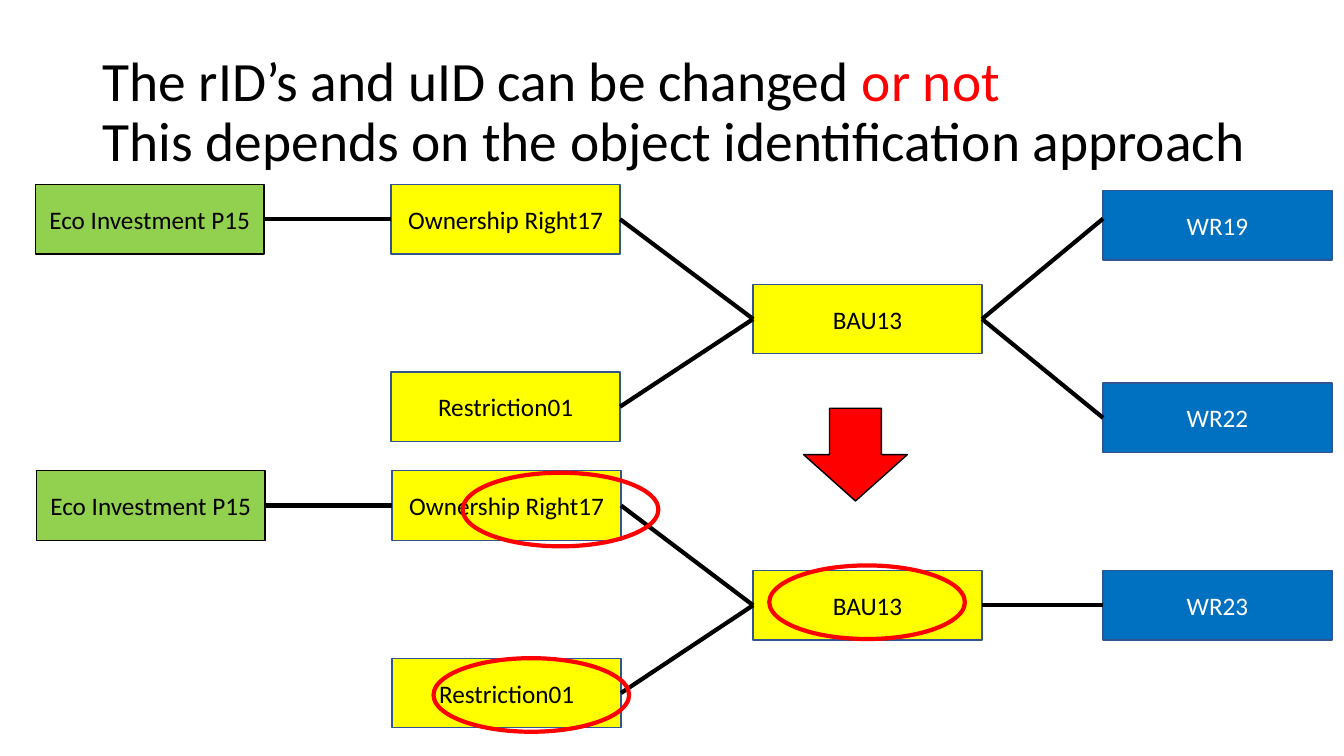
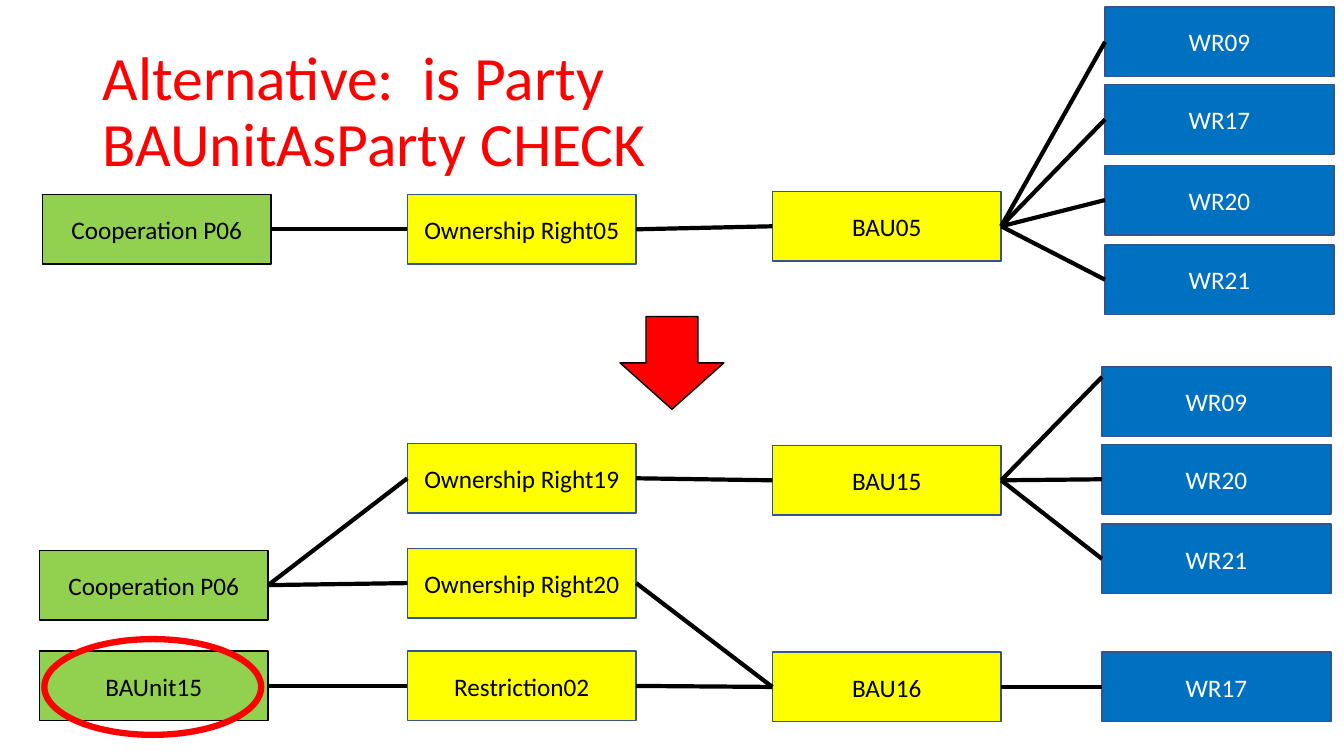
from lxml import etree
from pptx import Presentation, util as u
from pptx.dml.color import RGBColor
from pptx.enum import shapes, text
from pptx.oxml.ns import qn

HUES = {"ink": "000000", "white": "FFFFFF", "red": "FF0000", "green": "92D050",
        "yellow": "FFFF00", "blue": "0070C0", "edge": "325491"}
HUES = {name: RGBColor.from_string(code) for name, code in HUES.items()}
WIDE, HIGH = 2.27, 0.69
KINDS = [("green", "ink", "ink"), ("yellow", "edge", "ink"),
         ("yellow", "edge", "ink"), ("blue", "edge", "white")]
FRAME = {"word_wrap": True, "vertical_anchor": text.MSO_ANCHOR.MIDDLE}
FORMS = shapes.MSO_SHAPE

CHANGE = [("Eco Investment P15", 0, 1.83), ("Ownership Right17", 1, 1.83),
          ("Restriction01", 1, 3.69), ("BAU13", 2, 2.82)]
JOINS = [("Eco Investment P15", "Ownership Right17"),
         ("Ownership Right17", "BAU13"), ("Restriction01", "BAU13")]
DROP = 2.84

PAGES = [
    {"title": [[("The rID’s and uID can be changed ", "ink"), ("or not", "red")],
               [("This depends on the object identification approach", "ink")]],
     "size": 39.6, "span": 11.77,
     "flows": [
         {"cols": [0.35, 3.88, 7.47, 10.94],
          "boxes": CHANGE + [("WR19", 3, 1.89), ("WR22", 3, 3.8)],
          "links": JOINS + [("BAU13", "WR19", 2.17), ("BAU13", "WR22")]},
         {"cols": [0.36, 3.89, 7.47, 10.94],
          "boxes": [(name, col, top + DROP) for name, col, top in CHANGE]
          + [("WR23", 3, 5.66)],
          "links": JOINS + [("BAU13", "WR23")]}],
     "arrow": (7.97, 4.05),
     "rings": [(4.59, 4.69, 1.94, 0.73, 3), (7.63, 5.61, 1.94, 0.73, 3),
               (4.3, 6.53, 1.94, 0.73, 3)]},
    {"title": [[("Alternative:  is Party", "red")],
               [("BAUnitAsParty CHECK", "red")]],
     "size": 44, "span": 11.5,
     "flows": [
         {"cols": [0.42, 4.04, 7.66, 10.96],
          "boxes": [("Cooperation P06", 0, 1.93), ("Ownership Right05", 1, 1.93),
                    ("BAU05", 2, 1.9), ("WR09", 3, 0.07), ("WR17", 3, 0.84),
                    ("WR20", 3, 1.64), ("WR21", 3, 2.43)],
          "links": [("Cooperation P06", "Ownership Right05"),
                    ("Ownership Right05", "BAU05"), ("BAU05", "WR09"),
                    ("BAU05", "WR17"), ("BAU05", "WR20"), ("BAU05", "WR21")]},
         {"cols": [0.39, 4.04, 7.66, 10.93],
          "boxes": [("Cooperation P06", 0, 5.46), ("BAUnit15", 0, 6.46),
                    ("Ownership Right19", 1, 4.4), ("Ownership Right20", 1, 5.44),
                    ("Restriction02", 1, 6.46), ("BAU15", 2, 4.42),
                    ("BAU16", 2, 6.47), ("WR09", 3, 3.64), ("WR20", 3, 4.41),
                    ("WR21", 3, 5.2), ("WR17", 3, 6.47)],
          "links": [("Cooperation P06", "Ownership Right19"),
                    ("Cooperation P06", "Ownership Right20"),
                    ("BAUnit15", "Restriction02"), ("Ownership Right19", "BAU15"),
                    ("Ownership Right20", "BAU16"), ("Restriction02", "BAU16"),
                    ("BAU15", "WR09", 3.74), ("BAU15", "WR20"),
                    ("BAU15", "WR21"), ("BAU16", "WR17")]}],
     "arrow": (6.15, 3.14),
     "rings": [(0.44, 6.34, 2.15, 0.95, 4.5)]},
]


def draw(slide, form, place, fill, edge, thick=1):
    shape = slide.shapes.add_shape(form, *map(u.Inches, place))
    shape.shadow.inherit = False
    if fill:
        shape.fill.solid()
        shape.fill.fore_color.rgb = HUES[fill]
    else:
        shape.fill.background()
    shape.line.color.rgb = HUES[edge]
    shape.line.width = u.Pt(thick)
    return shape


def write(para, words, size, hue):
    run = para.add_run()
    run.text = words
    for key, value in {"name": "Calibri", "size": u.Pt(size)}.items():
        setattr(run.font, key, value)
    run.font.color.rgb = HUES[hue]


deck = Presentation()
deck.slide_width, deck.slide_height = u.Inches(13.33), u.Inches(7.5)

for page in PAGES:
    slide = deck.slides.add_slide(deck.slide_layouts[6])
    title = slide.shapes.add_textbox(*map(u.Inches, (0.92, 0.4, page["span"], 1.45)))
    for key, value in FRAME.items():
        setattr(title.text_frame, key, value)
    para = title.text_frame.paragraphs[0]
    para.line_spacing = 0.9
    for row, runs in enumerate(page["title"]):
        if row:
            para.add_line_break()
        for words, hue in runs:
            write(para, words, page["size"], hue)

    for flow in page["flows"]:
        boxes = {}
        for name, col, top in flow["boxes"]:
            fill, edge, hue = KINDS[col]
            box = draw(slide, FORMS.RECTANGLE, (flow["cols"][col], top, WIDE, HIGH),
                       fill, edge)
            for key, value in FRAME.items():
                setattr(box.text_frame, key, value)
            para = box.text_frame.paragraphs[0]
            para.alignment = text.PP_ALIGN.CENTER
            write(para, name, 18, hue)
            boxes[name] = box

        for start, end, *stop in flow["links"]:
            tail, head = boxes[start], boxes[end]
            goal = u.Inches(stop[0]) if stop else head.top + head.height // 2
            link = slide.shapes.add_connector(
                shapes.MSO_CONNECTOR.STRAIGHT, tail.left + tail.width,
                tail.top + tail.height // 2, head.left, goal)
            link.begin_connect(tail, 3)
            if not stop:
                link.end_connect(head, 1)
            link.line.color.rgb = HUES["ink"]
            link.line.width = u.Pt(3)
            etree.SubElement(link._element.spPr, qn("a:effectLst"))

    draw(slide, FORMS.DOWN_ARROW, (*page["arrow"], 1.03, 0.92), "red", "ink")
    for *place, thick in page["rings"]:
        draw(slide, FORMS.OVAL, place, None, "red", thick)

deck.save("out.pptx")
